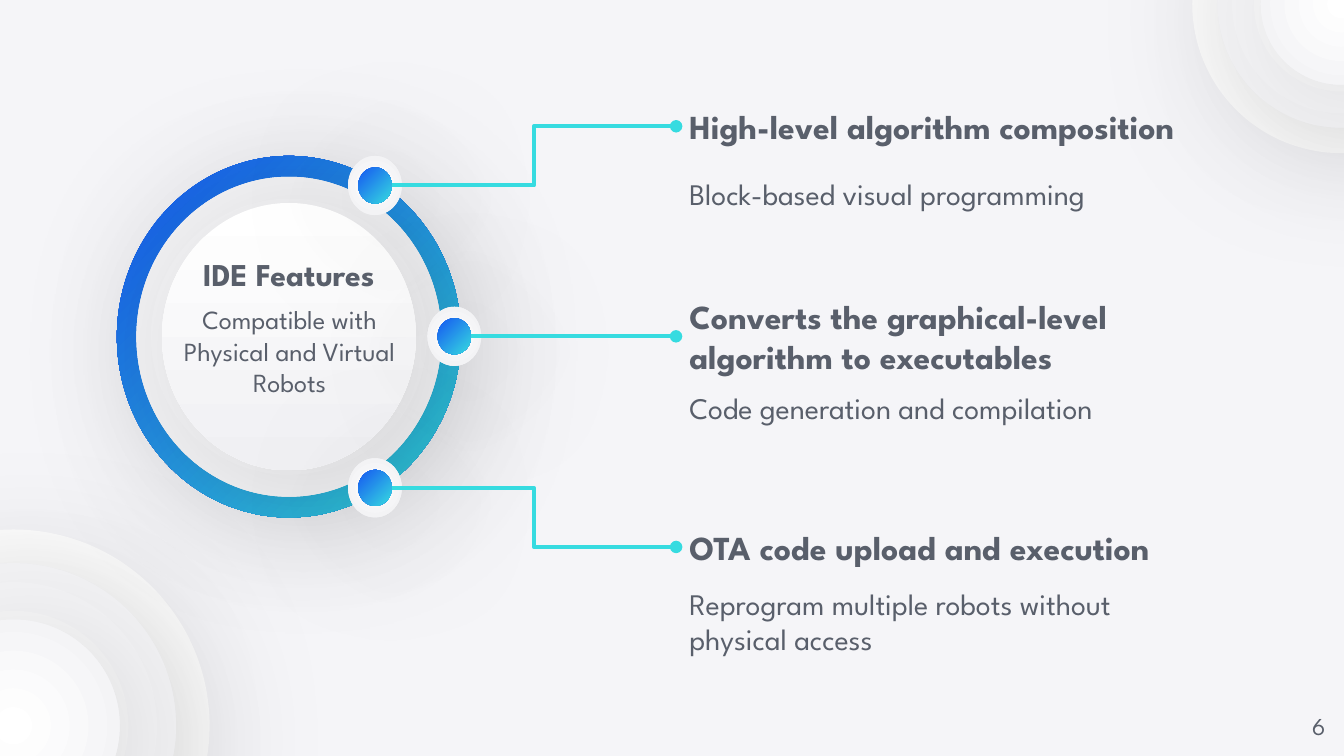
"""Builds the slide on IDE features: a ringed hub linked to three points."""
from lxml.etree import SubElement
from pptx import Presentation
from pptx.dml.color import RGBColor
from pptx.enum.shapes import MSO_CONNECTOR as Link, MSO_SHAPE as Shape
from pptx.enum.text import MSO_ANCHOR as Anchor, PP_ALIGN as Align
from pptx.oxml.ns import qn
from pptx.util import Pt

WHITE = RGBColor(0xFF, 0xFF, 0xFF)
PALE = RGBColor(0xF0, 0xF0, 0xF3)
BACK = RGBColor(0xF5, 0xF5, 0xF8)
BLUE = RGBColor(0x16, 0x58, 0xF1)
CYAN = RGBColor(0x36, 0xDB, 0xE0)
GRAY = RGBColor(0x59, 0x5F, 0x6B)
FONT = "League Spartan"
SOFT, GLOW = (WHITE, PALE), (BLUE, CYAN)

CORNERS = [
    ((7.2, 388.8), (210.2, 174.2, 113.8)),
    ((718.6, 2.2), (159.8, 132.5, 86.4)),
]
HUB = (154.8, 180.4)
RINGS = [
    ((184.3, 193.7), GLOW, 45, False),
    ((163.4, 171.4), SOFT, None, True),
    ((136.1, 143.3), SOFT, 90, True),
]
KNOB, CORE = (28.8, 31.7), (18, 19.4)
LEFT, WIDTH = 362.2, 294.5
POINTS = [
    {"head": "High-level algorithm composition", "head_y": (47.5, 40.3),
     "text": "Block-based visual programming", "text_y": 79.2,
     "knob": (200.9, 99.4), "end": 67.7},
    {"head": "Converts the graphical-level algorithm to executables",
     "head_y": (151.2, 57.6),
     "text": "Code generation and compilation", "text_y": 193.7,
     "knob": (243.4, 180.2), "end": 180.2},
    {"head": "OTA code upload and execution", "head_y": (272.9, 40.3),
     "text": "Reprogram multiple robots without physical access",
     "text_y": 308.2, "knob": (200.9, 261.4), "end": 293},
]

deck = Presentation()
deck.slide_width, deck.slide_height = Pt(720), Pt(405)
slide = deck.slides.add_slide(deck.slide_layouts[6])
slide.background.fill.solid()
slide.background.fill.fore_color.rgb = BACK


def shade(disc):
    effects = disc._element.spPr.find(qn("a:effectLst"))
    outer = SubElement(effects, qn("a:outerShdw"), blurRad=str(Pt(85)),
                       dist=str(Pt(11.2)), dir="2700000", algn="tl",
                       rotWithShape="0")
    color = SubElement(outer, qn("a:srgbClr"), val="000000")
    SubElement(color, qn("a:alpha"), val="15000")


def blend(disc, colors, angle):
    disc.fill.gradient()
    for stop, color in zip(disc.fill.gradient_stops, colors):
        stop.color.rgb = color
    if angle is not None:
        disc.fill.gradient_angle = 360 - angle
        return
    grad = disc._element.spPr.find(qn("a:gradFill"))
    grad.remove(grad.find(qn("a:lin")))
    round_ = SubElement(grad, qn("a:path"), {"path": "circle"})
    SubElement(round_, qn("a:fillToRect"), dict.fromkeys("ltrb", "50000"))


def add_disc(center, size, colors=None, angle=None, shadow=True):
    (x, y), (w, h) = center, size
    disc = slide.shapes.add_shape(
        Shape.OVAL, Pt(x - w / 2), Pt(y - h / 2), Pt(w), Pt(h))
    disc.shadow.inherit = False
    disc.line.fill.background()
    if colors:
        blend(disc, colors, angle)
    else:
        disc.fill.solid()
        disc.fill.fore_color.rgb = WHITE
    if shadow:
        shade(disc)


def add_text(text, x, y, w, h, size, bold=False, align=Align.LEFT,
             anchor=Anchor.MIDDLE):
    frame = slide.shapes.add_textbox(Pt(x), Pt(y), Pt(w), Pt(h)).text_frame
    frame.word_wrap = True
    frame.vertical_anchor = anchor
    frame.margin_left = frame.margin_right = Pt(7.2)
    frame.margin_top = frame.margin_bottom = Pt(7.2)
    para = frame.paragraphs[0]
    para.text, para.alignment = text, align
    font = para.font
    font.name, font.size, font.bold = FONT, Pt(size), bold
    font.color.rgb = GRAY


def add_link(x, y, end):
    link = slide.shapes.add_connector(
        Link.ELBOW, Pt(x), Pt(y), Pt(LEFT), Pt(end))
    link.line.color.rgb = CYAN
    link.line.width = Pt(2.25)
    SubElement(link.line._get_or_add_ln(), qn("a:tailEnd"), type="oval")
    SubElement(link._element.spPr, qn("a:effectLst"))


for center, sizes in CORNERS:
    for rank, size in enumerate(sizes):
        add_disc(center, (size, size), SOFT if rank else None,
                 shadow=rank > 0)

for point in POINTS:
    top, high = point["head_y"]
    add_text(point["text"], LEFT, point["text_y"], WIDTH, 49, 16)
    add_text(point["head"], LEFT, top, WIDTH, high, 18, True)

for size, colors, angle, shadow in RINGS:
    add_disc(HUB, size, colors, angle, shadow)

for point in POINTS:
    add_disc(point["knob"], KNOB, SOFT)
    add_disc(point["knob"], CORE, GLOW, 45)

for point in POINTS:
    x, y = point["knob"]
    add_link(x + CORE[0] / 2, y, point["end"])

add_text("IDE Features", 89.3, 128.9, 131, 36, 17, True, Align.CENTER)
add_text("Compatible with Physical and Virtual Robots",
         87.1, 163.4, 136.1, 49, 14, align=Align.CENTER)
add_text("6", 673.9, 373.7, 43.2, 31, 13, align=Align.RIGHT,
         anchor=Anchor.TOP)

deck.save("out.pptx")
